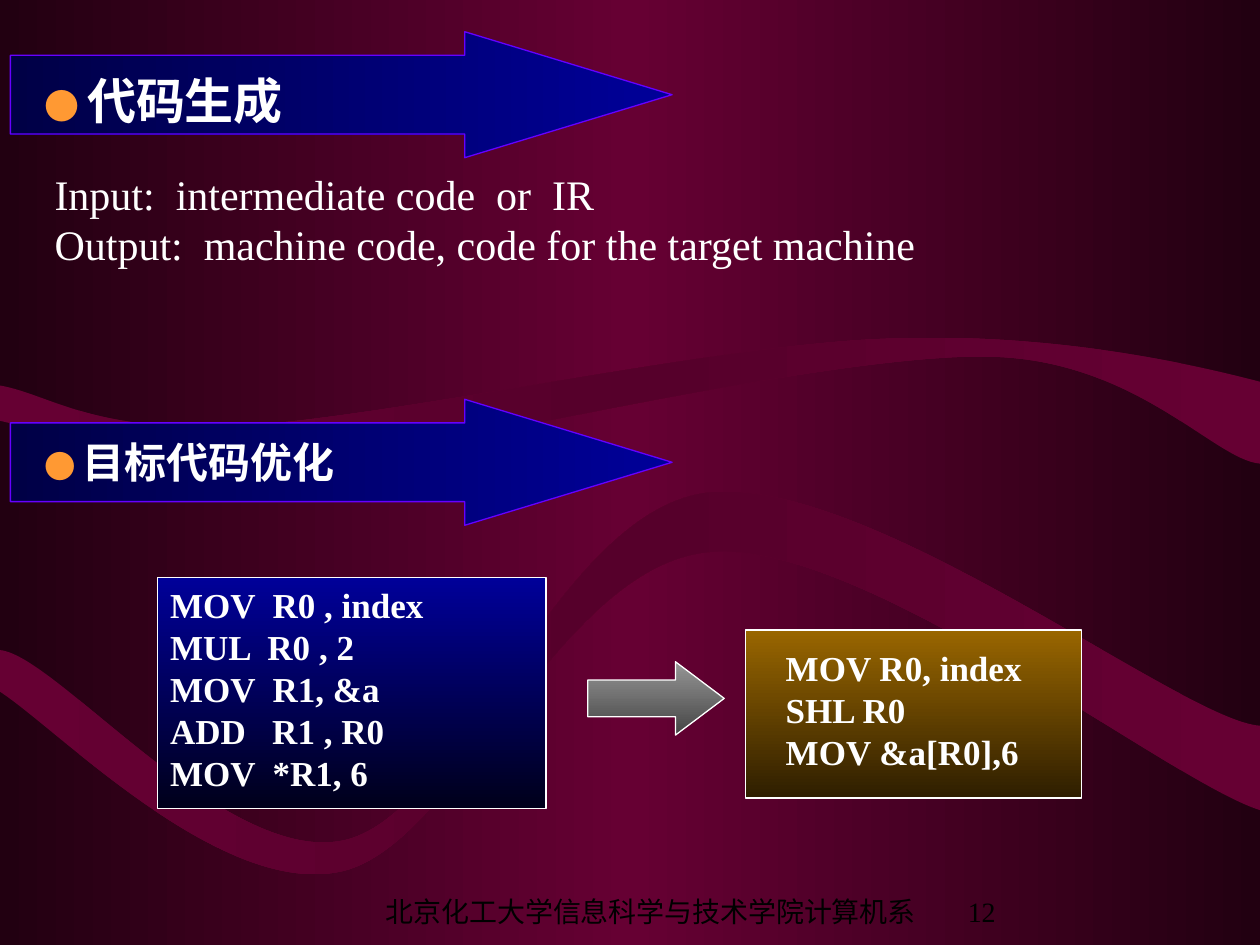
from lxml.etree import SubElement
from pptx import Presentation
from pptx.dml.color import RGBColor
from pptx.enum.shapes import MSO_SHAPE as Shape
from pptx.enum.text import MSO_ANCHOR as Anchor, PP_ALIGN as Align
from pptx.oxml.ns import qn
from pptx.util import Cm, Pt

FONT = "Times New Roman"
WHITE, BLACK, ORANGE, VIOLET = "FFFFFF", "000000", "FF9933", "6600FF"
LEFTWARD, DOWNWARD = 180, 90

BACKDROP = [(0, "220011"), (50, "660033"), (100, "220011")]
WAVE_FILL = [(0, "660033"), (50, "56002B"), (100, "660033")]
BANNER_FILL = [(0, "000099"), (100, "000046")]
BLUE_FILL = [(0, "000099"), (100, "00001B")]
BROWN_FILL = [(0, "996600"), (100, "2E1E00")]
GREY_FILL = [(0, "969696"), (100, "454545")]

# Each wave, in units of 2.54 cm: points are joined by lines (one point)
# or by cubic curves (two control points and an end point).
WAVES = [
    [[(0, 3.06)], [(0, 3.34)],
     [(0.37, 3.43), (1.75, 3.7), (2.22, 3.75)],
     [(2.69, 3.8), (1.9, 3.79), (2.82, 3.64)],
     [(3.75, 3.48), (6.6, 2.82), (7.8, 2.83)],
     [(9, 2.83), (9.63, 3.65), (10, 3.68)],
     [(10, 3.03)],
     [(9.5, 2.9), (8.36, 2.63), (7.01, 2.69)],
     [(5.66, 2.74), (3.07, 3.32), (1.9, 3.38)],
     [(0.73, 3.44), (0.4, 3.13), (0, 3.06)]],
    [[(0, 5.16)], [(0, 5.49)],
     [(0.45, 5.78), (1.74, 7.11), (2.69, 6.92)],
     [(3.63, 6.74), (4.43, 4.46), (5.65, 4.38)],
     [(6.87, 4.29), (9.27, 6.2), (10, 6.43)],
     [(10, 5.76)],
     [(9.38, 5.72), (6.91, 3.77), (5.62, 3.91)],
     [(4.41, 4.06), (3.67, 6.46), (2.73, 6.67)],
     [(1.79, 6.87), (0.45, 5.2), (0, 5.16)]],
]
WAVE_UNIT = 2.54

# Banner top, heading box, anchor, bullet size, heading size, heading
HEADINGS = [
    (0.64, (0.64, 1.27, 12.7, 1.48), Anchor.MIDDLE, 20, 28, "代码生成"),
    (8.05, (0.64, 8.68, 16.51, 1.27), Anchor.TOP, 18, 24, "目标代码优化"),
]
INPUT_OUTPUT = [
    "Input:  intermediate code  or  IR",
    "Output:  machine code, code for the target machine",
]
# Box, fill, left and top inset, lines
CODE_BOXES = [
    ((3.18, 11.64, 7.83, 4.66), BLUE_FILL, (0.25, 0.13),
     ["MOV  R0 , index", "MUL  R0 , 2", "MOV  R1, &a", "ADD   R1 , R0", "MOV  *R1, 6"]),
    ((15.03, 12.7, 6.77, 3.39), BROWN_FILL, (0.81, 0.33),
     ["MOV R0, index", "SHL R0", "MOV &a[R0],6"]),
]
FOOTER = "北京化工大学信息科学与技术学院计算机系"
PAGE_NUMBER = "12"


def color(value):
    return RGBColor.from_string(value)


def set_gradient(fill, element, stops, angle):
    """Fill with any number of stops; the angle runs clockwise."""
    fill.gradient()
    fill.gradient_angle = (360 - angle) % 360
    stop_list = next(element.iter(qn("a:gsLst")))
    for stop in list(stop_list):
        stop_list.remove(stop)
    for position, value in stops:
        stop = SubElement(stop_list, qn("a:gs"), pos=str(position * 1000))
        SubElement(stop, qn("a:srgbClr"), val=value)


def style(shape, stops, angle, line=None):
    shape.shadow.inherit = False
    set_gradient(shape.fill, shape.element, stops, angle)
    if line:
        shape.line.color.rgb = color(line)
        shape.line.width = Pt(0.75)
    else:
        shape.line.fill.background()


def add_preset(slide, kind, box, stops, angle, line, adjustments=()):
    shape = slide.shapes.add_shape(kind, *map(Cm, box))
    for index, value in enumerate(adjustments):
        shape.adjustments[index] = value
    style(shape, stops, angle, line)
    return shape


def add_wave(slide, segments):
    """Draw all points as lines, then merge each group of three into a curve."""
    points = [(Cm(x * WAVE_UNIT), Cm(y * WAVE_UNIT)) for segment in segments for x, y in segment]
    builder = slide.shapes.build_freeform(*points[0])
    builder.add_line_segments(points[1:], close=False)
    shape = builder.convert_to_shape()
    outline = next(shape.element.iter(qn("a:path")))
    lines = iter(outline.findall(qn("a:lnTo")))
    for segment in segments[1:]:
        group = [next(lines) for _ in segment]
        if len(group) == 3:
            curve = SubElement(outline, qn("a:cubicBezTo"))
            group[0].addprevious(curve)
            for line in group:
                curve.append(line[0])
                outline.remove(line)
    SubElement(outline, qn("a:close"))
    style(shape, WAVE_FILL, LEFTWARD)


def write(shape, paragraphs, size=20, fill=WHITE, bold=False, align=Align.LEFT,
          anchor=Anchor.TOP, inset=(0.25, 0.13)):
    """Each paragraph is a string or a list of (text, size, colour) runs."""
    frame = shape.text_frame
    frame.word_wrap = True
    frame.vertical_anchor = anchor
    frame.margin_left = frame.margin_right = Cm(inset[0])
    frame.margin_top = frame.margin_bottom = Cm(inset[1])
    for index, content in enumerate(paragraphs):
        paragraph = frame.add_paragraph() if index else frame.paragraphs[0]
        paragraph.alignment = align
        runs = [(content, size, fill)] if isinstance(content, str) else content
        for text, run_size, run_color in runs:
            run = paragraph.add_run()
            run.text = text
            run.font.name = FONT
            run.font.size = Pt(run_size)
            run.font.bold = bold
            run.font.color.rgb = color(run_color)


def add_text(slide, box, paragraphs, **formatting):
    write(slide.shapes.add_textbox(*map(Cm, box)), paragraphs, **formatting)


def main():
    presentation = Presentation()
    presentation.slide_width, presentation.slide_height = Cm(25.4), Cm(19.05)
    slide = presentation.slides.add_slide(presentation.slide_layouts[6])
    set_gradient(slide.background.fill, slide.element, BACKDROP, LEFTWARD)

    for wave in WAVES:
        add_wave(slide, wave)
    for top, box, anchor, bullet_size, size, heading in HEADINGS:
        add_preset(slide, Shape.RIGHT_ARROW, (0.21, top, 13.34, 2.54), BANNER_FILL,
                   LEFTWARD, VIOLET, (0.625, 1.646))
        add_text(slide, box, [[("● ", bullet_size, ORANGE), (heading, size, WHITE)]],
                 bold=True, anchor=anchor)
    add_text(slide, (0.85, 3.26, 20.75, 3.3), INPUT_OUTPUT, size=24, align=Align.JUSTIFY)

    for box, stops, inset, lines in CODE_BOXES:
        shape = add_preset(slide, Shape.RECTANGLE, box, stops, DOWNWARD, WHITE)
        write(shape, lines, bold=True, align=Align.JUSTIFY, inset=inset)
    add_preset(slide, Shape.RIGHT_ARROW, (11.85, 13.34, 2.75, 1.48), GREY_FILL,
               DOWNWARD, WHITE, (0.5, 0.664))

    for box, text, align in [((7.2, 17.99, 11.85, 0.85), FOOTER, Align.CENTER),
                             ((19.26, 17.99, 1.5, 0.85), PAGE_NUMBER, Align.LEFT)]:
        add_text(slide, box, [text], size=16, fill=BLACK, align=align, anchor=Anchor.BOTTOM)
    presentation.save("out.pptx")


if __name__ == "__main__":
    main()
